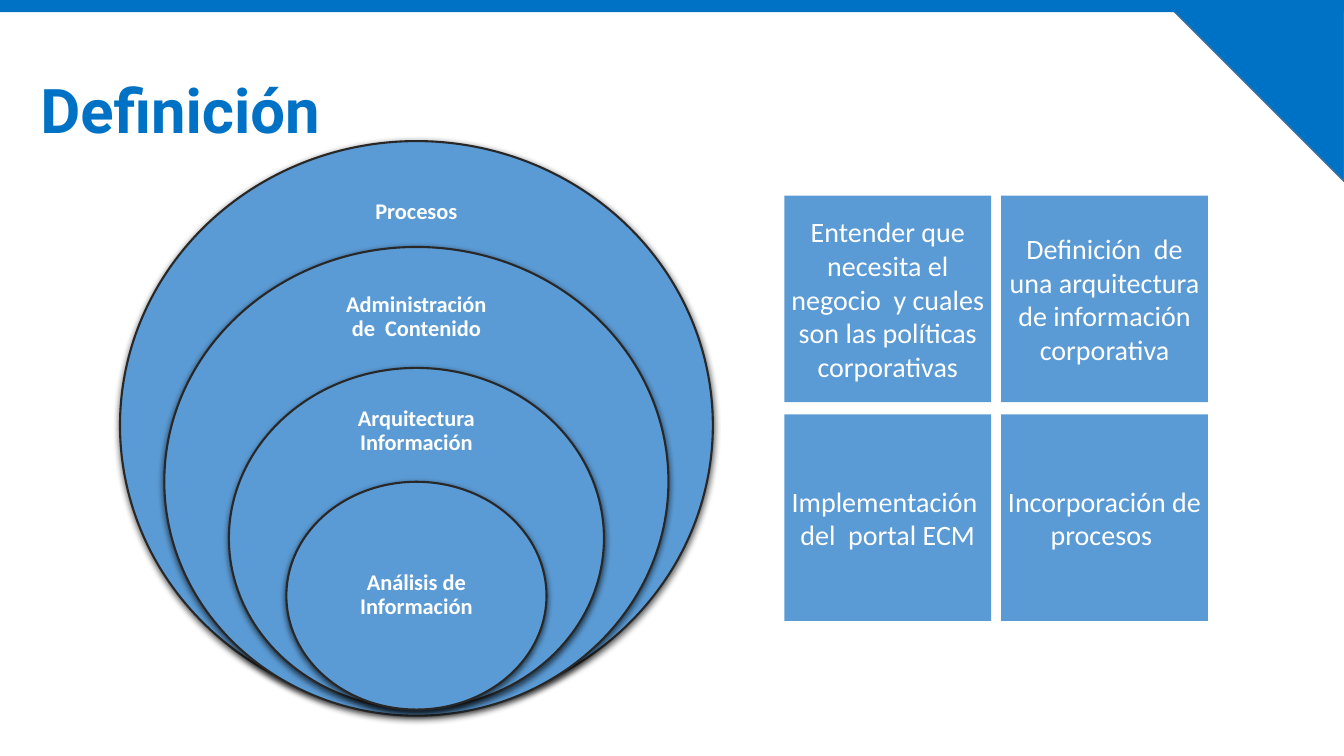
"""Build the "Definición" slide: nested ellipses beside a grid of four tiles."""
from lxml import etree
from pptx import Presentation
from pptx.dml.color import RGBColor
from pptx.enum.shapes import MSO_SHAPE
from pptx.enum.text import MSO_ANCHOR, PP_ALIGN
from pptx.oxml.ns import qn
from pptx.util import Inches, Pt

RECT, OVAL, TRIANGLE = MSO_SHAPE.RECTANGLE, MSO_SHAPE.OVAL, MSO_SHAPE.RIGHT_TRIANGLE
MIDDLE = MSO_ANCHOR.MIDDLE
LEFT, CENTER = PP_ALIGN.LEFT, PP_ALIGN.CENTER

TITLE = "Definición"
TILES = [
    ["Entender que necesita el negocio  y cuales son las políticas corporativas"],
    ["Definición  de una arquitectura de información corporativa"],
    ["Implementación ", "del  portal ECM"],
    ["Incorporación de procesos "],
]
LAYERS = [
    {"text": "Procesos", "oval": (1.4, 5.88, 5.64), "label": (1.68, 1.64, 0.85)},
    {"text": "Administración de  Contenido", "oval": (2.45, 5, 4.65), "label": (2.73, 1.75, 0.84)},
    {"text": "Arquitectura\vInformación", "oval": (3.65, 3.72, 3.38), "label": (3.9, 1.73, 0.76)},
    {"text": "Análisis de Información", "oval": (4.78, 2.58, 2.26), "label": (5.34, 1.83, 1.13)},
]

COLORS = {"brand": "0072C5", "brand_edge": "43739E", "panel": "5B9BD5",
          "outline": "282828", "shadow": "000000", "text": "FFFFFF"}
TITLE_FONT = {"name": "Roboto", "size": Pt(44), "bold": True}
TILE_FONT = {"name": "Calibri", "size": Pt(20), "bold": False}
LABEL_FONT = {"name": "Calibri", "size": Pt(16), "bold": True}

SLIDE_W, SLIDE_H = 13.33, 7.5
BAR_H, CORNER = 0.12, 1.8
AXIS_X = 4.13
GRID_X, GRID_Y, TILE = 7.78, 1.94, 2.05
STEP_X, STEP_Y = 2.15, 2.17


def rgb(name):
    return RGBColor.from_string(COLORS[name])


def write(shape, lines, font, color, inset, align=CENTER, spacing=None):
    tf = shape.text_frame
    tf.word_wrap = True
    tf.vertical_anchor = MIDDLE
    for side in ("left", "top", "right", "bottom"):
        setattr(tf, f"margin_{side}", Inches(inset))
    for i, line in enumerate(lines):
        p = tf.add_paragraph() if i else tf.paragraphs[0]
        p.text = line
        p.alignment = align
        p.line_spacing = spacing
        for r in p.runs:
            for key, value in font.items():
                setattr(r.font, key, value)
            r.font.color.rgb = rgb(color)


def add_shape(s, kind, box, fill, line=None, width=1):
    sp = s.shapes.add_shape(kind, *map(Inches, box))
    sp.shadow.inherit = False
    sp.fill.solid()
    sp.fill.fore_color.rgb = rgb(fill)
    if line:
        sp.line.color.rgb = rgb(line)
        sp.line.width = Pt(width)
    else:
        sp.line.fill.background()
    return sp


def add_shadow(sp):
    effects = sp.element.spPr.find(qn("a:effectLst"))
    outer = etree.SubElement(effects, qn("a:outerShdw"), blurRad=str(Pt(4.5)),
                             dist=str(Pt(1.5)), dir="5400000", algn="ctr", rotWithShape="0")
    color = etree.SubElement(outer, qn("a:srgbClr"), val=COLORS["shadow"])
    etree.SubElement(color, qn("a:alpha"), val="63000")


def centered(top, width, height):
    return AXIS_X - width / 2, top, width, height


def main():
    prs = Presentation()
    prs.slide_width, prs.slide_height = Inches(SLIDE_W), Inches(SLIDE_H)
    s = prs.slides.add_slide(prs.slide_layouts[5])

    corner = add_shape(s, TRIANGLE, (SLIDE_W - CORNER, 0, CORNER, CORNER), "brand", "brand_edge")
    corner.rotation = 180
    add_shape(s, RECT, (0, 0, SLIDE_W, BAR_H), "brand")

    title = s.shapes.title
    title.left, title.top, title.width, title.height = map(Inches, (0.3, 0.4, 12.12, 1.45))
    write(title, [TITLE], TITLE_FONT, "brand", 0.1, LEFT, 0.9)

    for i, lines in enumerate(TILES):
        row, col = divmod(i, 2)
        box = (GRID_X + col * STEP_X, GRID_Y + row * STEP_Y, TILE, TILE)
        write(add_shape(s, RECT, box, "panel"), lines, TILE_FONT, "text", 0.05)

    for layer in LAYERS:
        oval = add_shape(s, OVAL, centered(*layer["oval"]), "panel", "outline", 1.5)
        add_shadow(oval)
        label = s.shapes.add_textbox(*map(Inches, centered(*layer["label"])))
        write(label, [layer["text"]], LABEL_FONT, "text", 0.12, spacing=0.9)

    prs.save("out.pptx")


if __name__ == "__main__":
    main()
